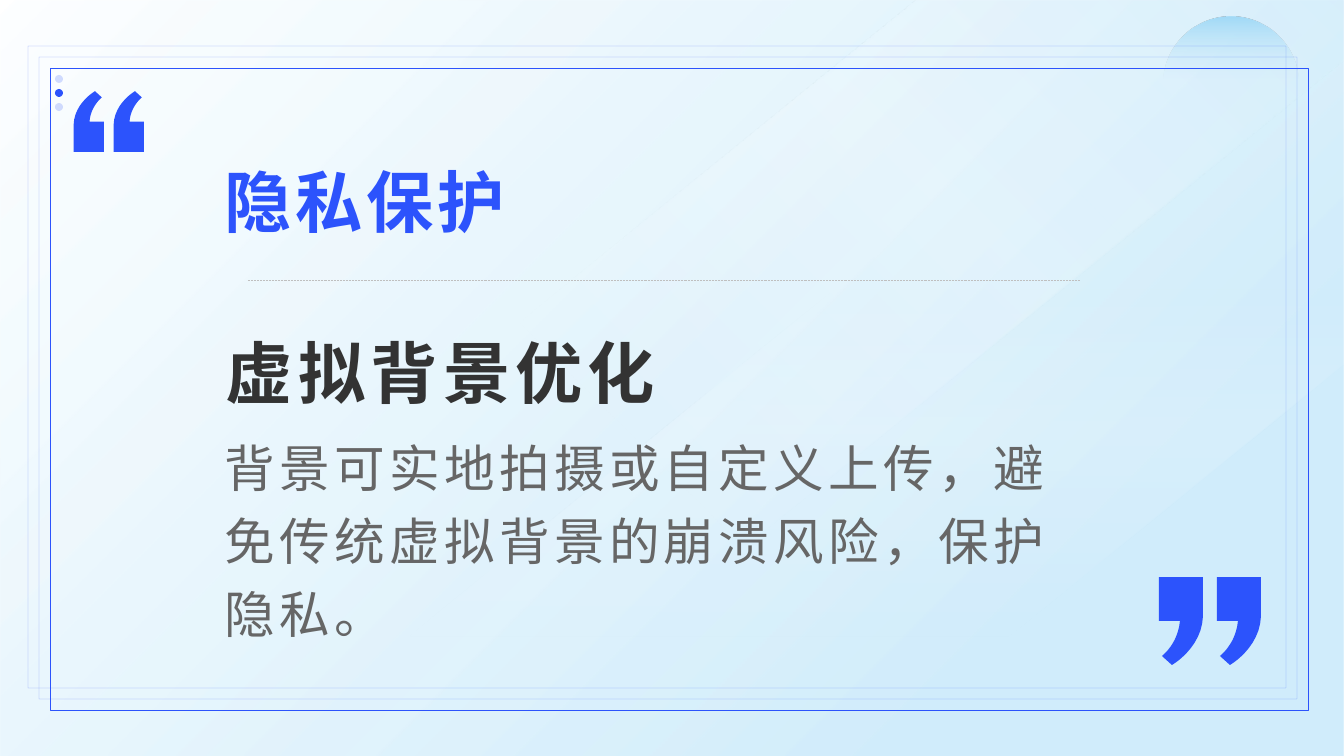
from pptx import Presentation
from pptx.enum.dml import MSO_LINE
from pptx.enum.shapes import MSO_CONNECTOR, MSO_SHAPE
from pptx.enum.text import MSO_ANCHOR
from pptx.oxml.ns import qn
from pptx.util import Pt
from lxml import etree

RECT, OVAL, CAP = MSO_SHAPE.RECTANGLE, MSO_SHAPE.OVAL, MSO_SHAPE.ROUND_2_SAME_RECTANGLE
TOP, MIDDLE, BOTTOM = MSO_ANCHOR.TOP, MSO_ANCHOR.MIDDLE, MSO_ANCHOR.BOTTOM
BLUE, FONT = "2C53FC", "Noto Sans CJK SC"
HAIRLINE = Pt(0.1)


def px(*values):
    return [round(v * 914400 / 134.4) for v in values]


def paint(parent, at, stops, angle=0):
    """Insert a fill of (position, hex, opacity) stops; a single stop is solid."""
    solid = len(stops) == 1
    fill = etree.Element(qn("a:solidFill" if solid else "a:gradFill"))
    holder = fill if solid else etree.SubElement(fill, qn("a:gsLst"))
    for pos, color, opacity in stops:
        stop = holder if solid else etree.SubElement(holder, qn("a:gs"), pos=str(pos * 1000))
        clr = etree.SubElement(stop, qn("a:srgbClr"), val=color)
        if opacity < 100:
            etree.SubElement(clr, qn("a:alpha"), val=str(opacity * 1000))
    if not solid:
        etree.SubElement(fill, qn("a:lin"), ang=str(angle * 60000), scaled="0")
    parent.insert(at, fill)


prs = Presentation()
prs.slide_width, prs.slide_height = px(1344, 756)
s = prs.slides.add_slide(prs.slide_layouts[6])
shapes = s.shapes
filled = []  # (shape, stops, angle)

# Background wash and light bands
sp = shapes.add_shape(RECT, *px(0, 0, 1344, 756))
filled.append((sp, [(0, "15A2E9", 0), (78, "15A2E9", 19)], 45))
bands = [
    ([(918, 0), (1344, 0), (1344, 60), (575, 685), (74, 685)],
     [(0, "D0ECFB", 24), (31, "FFFFFF", 19), (59, "FFFFFF", 0)], 135),
    ([(837, 288), (1344, 288), (1344, 364), (861, 756), (262, 756)],
     [(0, "FFFFFF", 0), (30, "FFFFFF", 14), (75, "FFFFFF", 0)], 90),
]
for points, stops, angle in bands:
    fb = shapes.build_freeform(*px(*points[0]))
    fb.add_line_segments([px(*pt) for pt in points[1:]])
    filled.append((fb.convert_to_shape(), stops, angle))

# Fading disc and three dots
sp = shapes.add_shape(CAP, *px(1164, 17, 134, 142))
sp.adjustments[0] = sp.adjustments[1] = 0.5
filled.append((sp, [(0, "A1DAF7", 100), (44, "D0ECFB", 0)], 90))
for i, opacity in enumerate((20, 100, 20)):
    sp = shapes.add_shape(OVAL, *px(55, 75 + 14 * i, 8, 8))
    filled.append((sp, [(0, BLUE, opacity)], 0))

# Three offset frames
for i, opacity in enumerate((100, 50, 50)):
    sp = shapes.add_shape(RECT, *px(50 - 11 * i, 68 - 11 * i, 1258, 642))
    sp.shadow.inherit = False
    sp.fill.background()
    sp.line.width = HAIRLINE
    paint(sp.line._get_or_add_ln(), 0, [(0, BLUE, opacity)])

# Quotation marks: one outline, turned half round for the opening pair
mark = [(0, 0), (44, 0), (44, 39)]
curves = [[(44, 39), (43, 71), (13, 88), (13, 88)],
          [(3, 79), (3, 79), (19, 67), (21, 44)]]
for curve in curves:
    for n in range(13):
        t = n / 12
        weights = ((1 - t) ** 3, 3 * t * (1 - t) ** 2, 3 * t ** 2 * (1 - t), t ** 3)
        mark.append(tuple(sum(w * pt[k] for w, pt in zip(weights, curve)) for k in (0, 1)))
mark.append((0, 44))
for x, y, scale in [(144, 152, -0.69), (104, 152, -0.69), (1159, 577, 1), (1217, 577, 1)]:
    points = [px(x + scale * a, y + scale * b) for a, b in mark]
    fb = shapes.build_freeform(*points[0])
    fb.add_line_segments(points[1:])
    filled.append((fb.convert_to_shape(), [(0, BLUE, 100)], 0))

for sp, stops, angle in filled:
    sp.shadow.inherit = False
    sp.line.fill.background()
    paint(sp._element.spPr, 2, stops, angle)

# Dashed divider
line = shapes.add_connector(MSO_CONNECTOR.STRAIGHT, *px(248, 280, 1080, 280))
line.line.width = HAIRLINE
line.line.dash_style = MSO_LINE.DASH
paint(line.line._get_or_add_ln(), 0, [(0, "BFBFBF", 100)])
etree.SubElement(line._element.spPr, qn("a:effectLst"))

# Title, heading and body: box, anchor, text, colour, letter spacing, font, paragraph
texts = [
    ((218, 155, 891, 91), MIDDLE, "隐私保护", BLUE, 200,
     {"size": Pt(36), "bold": True}, {}),
    ((219, 313, 890, 102), BOTTOM, "虚拟背景优化", "333333", 280,
     {"size": Pt(36), "bold": True}, {}),
    ((218, 422, 890, 179), TOP,
     "背景可实地拍摄或自定义上传，避免传统虚拟背景的崩溃风险，保护隐私。", "666666", 230,
     {"size": Pt(27.1)}, {"line_spacing": 1.2, "space_after": Pt(8)}),
]
for box, anchor, text, color, spacing, font, para in texts:
    tf = shapes.add_textbox(*px(*box)).text_frame
    frame = {"word_wrap": True, "vertical_anchor": anchor}
    for side, inset in zip(("left", "top", "right", "bottom"), px(7, 3, 7, 3)):
        frame["margin_" + side] = inset
    p = tf.paragraphs[0]
    r = p.add_run()
    r.text = text
    for obj, values in ((tf, frame), (p, para), (r.font, {"name": FONT, **font})):
        for name, value in values.items():
            setattr(obj, name, value)
    rPr = r._r.get_or_add_rPr()
    rPr.set("spc", str(spacing))
    etree.SubElement(rPr, qn("a:ea"), typeface=FONT)
    paint(rPr, 0, [(0, color, 100)])

prs.save("out.pptx")
